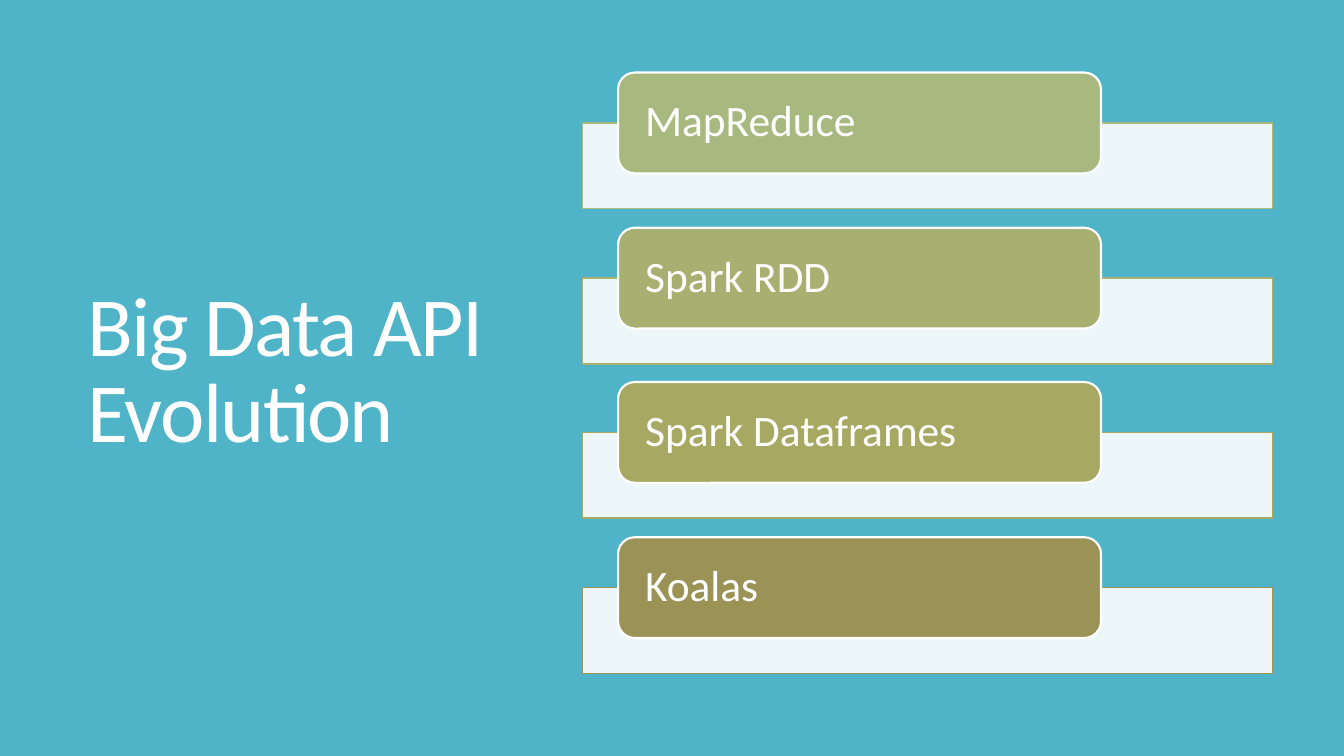
from dataclasses import dataclass

from lxml.etree import SubElement
from pptx import Presentation
from pptx.dml.color import RGBColor
from pptx.enum.shapes import MSO_SHAPE
from pptx.enum.text import MSO_ANCHOR, PP_ALIGN
from pptx.oxml.ns import qn
from pptx.util import Emu, Pt

PX = 9144  # EMU per px, 100 px to the inch
WHITE = "FFFFFF"
BACKGROUND = "50B4C8"


@dataclass
class Stage:
    name: str
    color: str


STAGES = [
    Stage("MapReduce", "A8B97F"),
    Stage("Spark RDD", "A7B070"),
    Stage("Spark Dataframes", "A7A861"),
    Stage("Koalas", "9B9256"),
]
FIRST_TOP = 72
STAGES_SPAN = 461  # from the first label's top to the last one's


def px(n: int) -> Emu:
    return Emu(n * PX)


def rgb(color: str) -> RGBColor:
    return RGBColor.from_string(color)


def write(sp, text: str, *, size: int, spacing: float, inset: int,
          tracking: int = 0) -> None:
    tf = sp.text_frame
    tf.word_wrap = True
    tf.vertical_anchor = MSO_ANCHOR.MIDDLE
    tf.margin_left = tf.margin_right = px(inset)
    tf.margin_top = tf.margin_bottom = 0
    p = tf.paragraphs[0]
    p.alignment = PP_ALIGN.LEFT
    p.line_spacing = spacing
    r = p.add_run()
    r.text = text
    r.font.name = "Calibri"
    r.font.size = Pt(size)
    r.font.color.rgb = rgb(WHITE)
    if tracking:
        r._r.get_or_add_rPr().set("spc", str(tracking))


def add_box(slide, kind: MSO_SHAPE, box: tuple[int, int, int, int], *,
            fill: str, line: str, width: float, opacity: int = 100):
    sp = slide.shapes.add_shape(kind, *map(px, box))
    sp.shadow.inherit = False
    sp.fill.solid()
    sp.fill.fore_color.rgb = rgb(fill)
    sp.line.color.rgb = rgb(line)
    sp.line.width = Pt(width)
    if opacity < 100:
        clr = sp.fill._xPr.find(qn("a:solidFill")).find(qn("a:srgbClr"))
        SubElement(clr, qn("a:alpha")).set("val", str(opacity * 1000))
    return sp


def add_stage(slide, stage: Stage, top: int) -> None:
    # Pale bar behind, coloured label in front
    add_box(slide, MSO_SHAPE.RECTANGLE, (578, top + 50, 684, 85),
            fill=WHITE, line=stage.color, width=1, opacity=90)
    label = add_box(slide, MSO_SHAPE.ROUNDED_RECTANGLE, (613, top, 479, 100),
                    fill=stage.color, line=WHITE, width=1.5)
    write(label, stage.name, size=31, spacing=0.9, inset=22)


def main() -> None:
    prs = Presentation()
    prs.slide_width, prs.slide_height = px(1333), px(750)
    slide = prs.slides.add_slide(prs.slide_layouts[6])
    slide.background.fill.solid()
    slide.background.fill.fore_color.rgb = rgb(BACKGROUND)

    # Title
    title = slide.shapes.add_textbox(*map(px, (77, 70, 437, 601)))
    write(title, "Big Data API Evolution", size=60, spacing=0.85, inset=10,
          tracking=-120)

    # Stages, evenly spaced
    for i, stage in enumerate(STAGES):
        offset = round(i * STAGES_SPAN / (len(STAGES) - 1))
        add_stage(slide, stage, FIRST_TOP + offset)

    prs.save("out.pptx")


if __name__ == "__main__":
    main()
